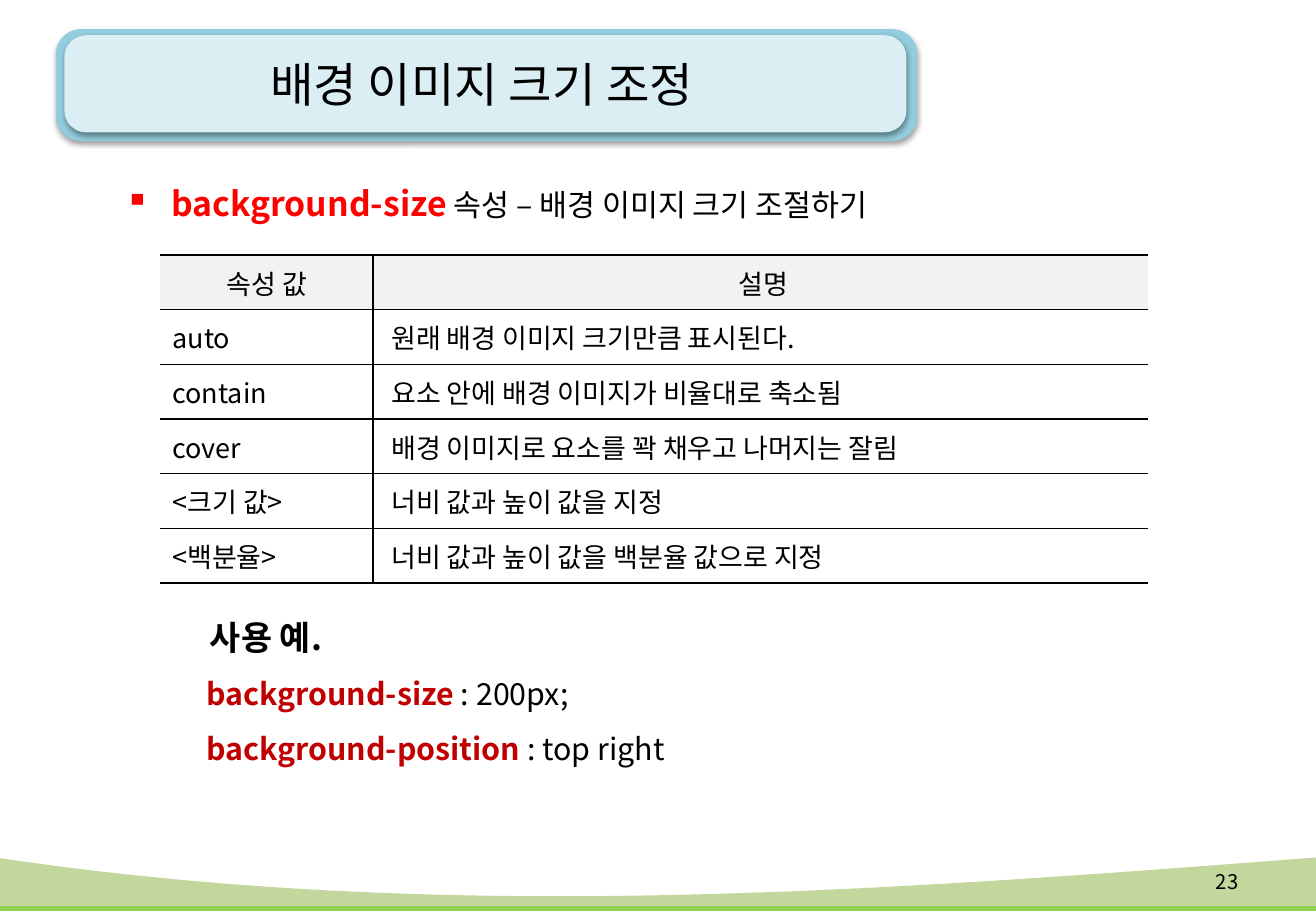
"""Build the slide on background image sizing: title, property table and usage example."""
from dataclasses import dataclass

from lxml import etree
from pptx import Presentation
from pptx.dml.color import RGBColor
from pptx.enum.shapes import MSO_SHAPE
from pptx.enum.text import MSO_ANCHOR, PP_ALIGN
from pptx.oxml import parse_xml
from pptx.oxml.ns import nsdecls, qn
from pptx.util import Inches, Pt

FONT = "Noto Sans CJK KR"
BLACK, RED, DARK_RED = "000000", "FF0000", "C00000"
LEFT, CENTER, RIGHT = PP_ALIGN.LEFT, PP_ALIGN.CENTER, PP_ALIGN.RIGHT
MIDDLE, TOP = MSO_ANCHOR.MIDDLE, MSO_ANCHOR.TOP
ROUNDED = MSO_SHAPE.ROUNDED_RECTANGLE
WIDTH, HEIGHT = 10.83, 7.5
WAVE_LEFT, WAVE_STEPS = -0.04, 48


@dataclass
class Wave:
    left_y: float
    control_1: float
    control_2: float
    right_y: float
    bottom: float
    color: str


@dataclass
class Plate:
    left: float
    top: float
    width: float
    height: float
    color: str


@dataclass
class Span:
    text: str
    size: float
    color: str = BLACK
    bold: bool = False


@dataclass
class Line:
    spans: list[Span]
    indent: float = 0
    bullet: str = ""
    align: PP_ALIGN = LEFT
    spacing: float = 1.0


WAVES = [Wave(7.24, 7.6, 7.43, 7.24, 7.5, "92D050"), Wave(7.06, 7.61, 7.34, 7.06, 7.46, "C3D69B")]
PLATES = [Plate(0.46, 0.24, 7.09, 0.92, "93CDDD"), Plate(0.53, 0.29, 6.93, 0.8, "DBEEF4")]
ROWS = [
    ("속성 값", "설명"),
    ("auto", "원래 배경 이미지 크기만큼 표시된다."),
    ("contain", "요소 안에 배경 이미지가 비율대로 축소됨"),
    ("cover", "배경 이미지로 요소를 꽉 채우고 나머지는 잘림"),
    ("<크기 값>", "너비 값과 높이 값을 지정"),
    ("<백분율>", "너비 값과 높이 값을 백분율 값으로 지정"),
]
COLUMNS = (1.75, 6.38)
ROW_HEIGHT = 0.45
HEADING = [Line([Span("background-size", 20, RED, True), Span(" 속성 – 배경 이미지 크기 조절하기", 18)],
                0.38, "▪", spacing=1.5)]
EXAMPLE = [
    Line([Span("사용 예.", 20, bold=True)], 0.15, spacing=1.5),
    Line([Span("background-size", 18, DARK_RED, True), Span(" : 200px;", 18)], 0.12, spacing=1.5),
    Line([Span("background-position ", 18, DARK_RED, True), Span(": top right", 18)], 0.12, spacing=1.5),
]


def rgb(value: str) -> RGBColor:
    """Turn a hex string into a colour."""
    return RGBColor.from_string(value)


def style_run(r, span: Span) -> None:
    """Set font, size, weight and colour of a run."""
    r.font.name = FONT
    r.font.size = Pt(span.size)
    r.font.bold = span.bold
    r.font.color.rgb = rgb(span.color)
    etree.SubElement(r.font._element, qn("a:ea"), typeface=FONT)


def write_line(p, line: Line) -> None:
    """Fill a paragraph with the styled runs of a line."""
    p.alignment = line.align
    p.line_spacing = line.spacing
    props = p._p.get_or_add_pPr()
    if line.indent:
        props.set("marL", str(Inches(line.indent)))
    if line.bullet:
        props.set("indent", str(-Inches(line.indent)))
        etree.SubElement(props, qn("a:buChar"), char=line.bullet)
    for span in line.spans:
        r = p.add_run()
        r.text = span.text
        style_run(r, span)


def write_lines(tf, lines: list[Line], anchor: MSO_ANCHOR) -> None:
    """Write lines into a text frame."""
    tf.word_wrap = True
    tf.vertical_anchor = anchor
    for i, line in enumerate(lines):
        write_line(tf.add_paragraph() if i else tf.paragraphs[0], line)


def add_text(s, box: tuple, lines: list[Line], anchor: MSO_ANCHOR = TOP) -> None:
    """Add a wrapping text box."""
    tb = s.shapes.add_textbox(*map(Inches, box))
    write_lines(tb.text_frame, lines, anchor)


def paint(sp, color: str) -> None:
    """Give a shape a plain fill without line or shadow."""
    sp.shadow.inherit = False
    sp.fill.solid()
    sp.fill.fore_color.rgb = rgb(color)
    sp.line.fill.background()


def add_wave(s, wave: Wave) -> None:
    """Draw a footer band whose upper edge follows a cubic curve."""
    xs = (WAVE_LEFT, 3.64, 7.19, WIDTH)
    ys = (wave.left_y, wave.control_1, wave.control_2, wave.right_y)
    points = []
    for i in range(WAVE_STEPS + 1):
        t = i / WAVE_STEPS
        weights = ((1 - t) ** 3, 3 * t * (1 - t) ** 2, 3 * t * t * (1 - t), t ** 3)
        points.append(tuple(Inches(sum(w * v for w, v in zip(weights, axis))) for axis in (xs, ys)))
    points += [(Inches(x), Inches(wave.bottom)) for x in (WIDTH, WAVE_LEFT)]
    builder = s.shapes.build_freeform(*points[0])
    builder.add_line_segments(points[1:], close=True)
    paint(builder.convert_to_shape(), wave.color)


def add_plate(s, plate: Plate) -> None:
    """Draw a rounded title plate with a soft shadow below."""
    sp = s.shapes.add_shape(ROUNDED, *map(Inches, (plate.left, plate.top, plate.width, plate.height)))
    sp.adjustments[0] = 0.225
    paint(sp, plate.color)
    effects = sp.element.spPr.find(qn("a:effectLst"))
    effects.append(parse_xml(
        f'<a:outerShdw {nsdecls("a")} blurRad="{Pt(3.1)}" dist="{Pt(1.6)}" dir="5400000" rotWithShape="0">'
        f'<a:srgbClr val="{BLACK}"><a:alpha val="38000"/></a:srgbClr></a:outerShdw>'))


def set_borders(cell, visible: str) -> None:
    """Draw the named sides of a cell and hide the others."""
    props = cell._tc.get_or_add_tcPr()
    for side in "LRTB":
        ln = etree.SubElement(props, qn(f"a:ln{side}"), w=str(Pt(1)))
        if side in visible:
            fill = etree.SubElement(ln, qn("a:solidFill"))
            etree.SubElement(fill, qn("a:srgbClr"), val=BLACK)
        else:
            etree.SubElement(ln, qn("a:noFill"))


def add_property_table(s) -> None:
    """Add the table of property values."""
    size = (sum(COLUMNS), ROW_HEIGHT * len(ROWS))
    table = s.shapes.add_table(len(ROWS), len(COLUMNS), *map(Inches, (1.32, 2.1, *size))).table
    table.first_row = table.horz_banding = False
    for column, width in zip(table.columns, COLUMNS):
        column.width = Inches(width)
    for i, row in enumerate(ROWS):
        table.rows[i].height = Inches(ROW_HEIGHT)
        for j, text in enumerate(row):
            cell = table.cell(i, j)
            cell.vertical_anchor = MIDDLE
            cell.margin_left = Inches(0.15 if j else 0.1)
            write_line(cell.text_frame.paragraphs[0], Line([Span(text, 16)], align=LEFT if i else CENTER))
            set_borders(cell, "LTB" if j else "RTB")
            if i:
                cell.fill.background()
            else:
                cell.fill.solid()
                cell.fill.fore_color.rgb = rgb("F2F2F2")


def place_title(s) -> None:
    """Put the title placeholder over its plates."""
    title = s.shapes.title
    title.left, title.top, title.width, title.height = map(Inches, (0.46, 0.22, 7.01, 0.94))
    write_lines(title.text_frame, [Line([Span("배경 이미지 크기 조정", 28)], align=CENTER)], MIDDLE)
    title.element.getparent().append(title.element)


def main() -> None:
    """Build and save the slide."""
    prs = Presentation()
    prs.slide_width, prs.slide_height = Inches(WIDTH), Inches(HEIGHT)
    s = prs.slides.add_slide(prs.slide_layouts[5])
    for plate in PLATES:
        add_plate(s, plate)
    for wave in WAVES:
        add_wave(s, wave)
    place_title(s)
    add_text(s, (9.68, 7.06, 0.61, 0.4), [Line([Span("23", 12)], align=RIGHT)], MIDDLE)
    add_text(s, (0.93, 1.29, 7.4, 0.61), HEADING)
    add_property_table(s)
    add_text(s, (1.48, 4.86, 7.4, 1.57), EXAMPLE)
    prs.save("out.pptx")


if __name__ == "__main__":
    main()
